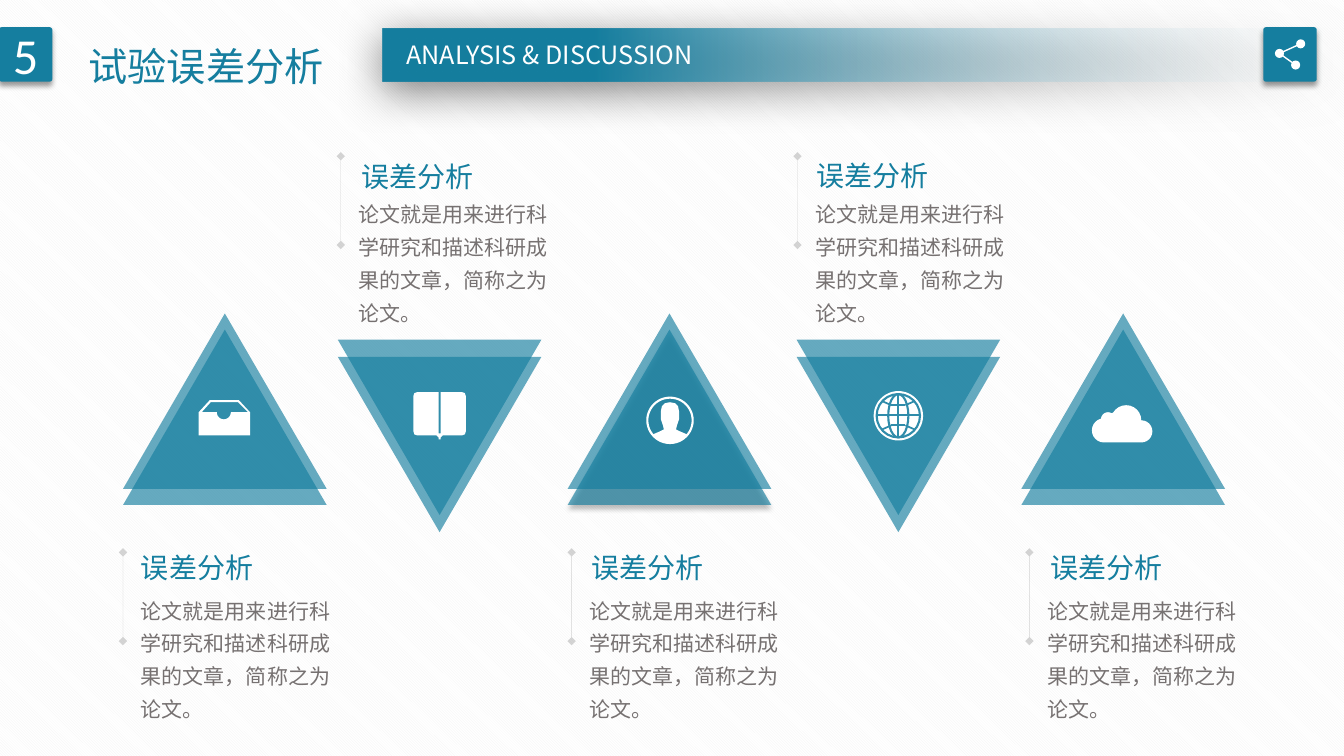
import math

import lxml.etree
import pptx
import pptx.dml.color
import pptx.enum.dml
import pptx.enum.shapes
import pptx.enum.text
import pptx.oxml.ns
import pptx.util

Inches = pptx.util.Inches
Pt = pptx.util.Pt
RGBColor = pptx.dml.color.RGBColor
qn = pptx.oxml.ns.qn
SHAPE = pptx.enum.shapes.MSO_SHAPE
ALIGN = pptx.enum.text.PP_ALIGN
ANCHOR = pptx.enum.text.MSO_ANCHOR

TEAL = RGBColor(0x15, 0x7E, 0x9F)
ICON_TEAL = RGBColor(0x30, 0x8C, 0xAA)
PALE = RGBColor(0xF7, 0xFA, 0xFD)
WHITE = RGBColor(0xFF, 0xFF, 0xFF)
STRIPE = RGBColor(0xF2, 0xF2, 0xF2)
RAIL_GRAY = RGBColor(0x80, 0x80, 0x80)
BODY_GRAY = RGBColor(0x76, 0x71, 0x71)
FONT = "Noto Sans CJK SC"
SOFT_SHADOW = (40, 4, 3, 90)  # opacity, blur, distance, direction
BODY = "论文就是用来进行科学研究和描述科研成果的文章，简称之为论文。"


def add_text(shape, text, size, color, font=FONT, spacing=1.0, align=ALIGN.LEFT,
             anchor=ANCHOR.TOP, wrap=False):
    frame = shape.text_frame
    frame.word_wrap = wrap
    frame.auto_size = pptx.enum.text.MSO_AUTO_SIZE.NONE
    frame.vertical_anchor = anchor
    paragraph = frame.paragraphs[0]
    paragraph.alignment = align
    paragraph.line_spacing = spacing
    run = paragraph.add_run()
    run.text = text
    run.font.size = Pt(size)
    run.font.name = font
    run.font.color.rgb = color
    lxml.etree.SubElement(run.font._element, qn("a:ea"), typeface=font)


def paint(shape, color, opacity=100, shadow=None):
    shape.fill.solid()
    shape.fill.fore_color.rgb = color
    shape.line.fill.background()
    shape.shadow.inherit = False
    properties = shape.element.spPr
    if opacity < 100:
        fill_color = properties.find(qn("a:solidFill"))[0]
        lxml.etree.SubElement(fill_color, qn("a:alpha"), val=str(opacity * 1000))
    if shadow:
        strength, blur, distance, direction = shadow
        outer = lxml.etree.SubElement(
            properties.find(qn("a:effectLst")), qn("a:outerShdw"), blurRad=str(Pt(blur)),
            dist=str(Pt(distance)), dir=str(direction * 60000), algn="t", rotWithShape="0")
        black = lxml.etree.SubElement(outer, qn("a:srgbClr"), val="000000")
        lxml.etree.SubElement(black, qn("a:alpha"), val=str(strength * 1000))


presentation = pptx.Presentation()
presentation.slide_width = Inches(13.33)
presentation.slide_height = Inches(7.5)
slide = presentation.slides.add_slide(presentation.slide_layouts[5])
shapes = slide.shapes

# Striped background
background = slide.background.fill
background.patterned()
background.pattern = pptx.enum.dml.MSO_PATTERN.DARK_DOWNWARD_DIAGONAL
background.fore_color.rgb = STRIPE
background.back_color.rgb = WHITE

# Title
title = shapes.title
title.left, title.top, title.width, title.height = map(Inches, (0.78, 0.14, 2.57, 0.73))
add_text(title, "试验误差分析", 28, TEAL, spacing=1.5)

# Header band fading out to the right
band = shapes.add_shape(SHAPE.RECTANGLE, Inches(3.8), Inches(0.28), Inches(9.53), Inches(0.53))
paint(band, TEAL, shadow=(50, 31, 6, 97))
band.fill.gradient()
band.fill.gradient_angle = 180
for stop, position, color in zip(band.fill.gradient_stops, (0, 0.78), (PALE, TEAL)):
    stop.position = position
    stop.color.rgb = color
clear_color = band.element.spPr.find(qn("a:gradFill")).find(".//" + qn("a:srgbClr"))
lxml.etree.SubElement(clear_color, qn("a:alpha"), val="0")
subtitle = shapes.add_textbox(Inches(3.8), Inches(0.34), Inches(3.3), Inches(0.4))
add_text(subtitle, "ANALYSIS & DISCUSSION", 18, WHITE, align=ALIGN.CENTER)

# Number badge and share badge
for left, label in ((-0.01, "5"), (12.53, "")):
    badge = shapes.add_shape(SHAPE.ROUNDED_RECTANGLE, Inches(left), Inches(0.27),
                             Inches(0.53), Inches(0.54))
    badge.adjustments[0] = 0.05
    paint(badge, TEAL, shadow=SOFT_SHADOW)
    if label:
        add_text(badge, label, 36, WHITE, font="Calibri", align=ALIGN.CENTER,
                 anchor=ANCHOR.MIDDLE, wrap=True)

# Columns: triangle left, rail x, rail top, heading left, heading top, points up, shadow
columns = [
    (1.22, 1.22, 5.48, 1.3, 5.31, True, None),
    (3.35, 3.38, 1.55, 3.49, 1.43, False, None),
    (5.63, 5.67, 5.48, 5.77, 5.31, True, SOFT_SHADOW),
    (7.9, 7.91, 1.55, 8.0, 1.42, False, None),
    (10.13, 10.21, 5.48, 10.32, 5.31, True, None),
]
for left, rail, rail_top, heading_left, heading_top, points_up, shadow in columns:
    tops = (3.27, 3.11) if points_up else (3.37, 3.54)
    for top, triangle_shadow in zip(tops, (shadow, None)):
        triangle = shapes.add_shape(SHAPE.ISOSCELES_TRIANGLE, Inches(left), Inches(top),
                                    Inches(2.02), Inches(1.74))
        paint(triangle, TEAL, opacity=65, shadow=triangle_shadow)
        if not points_up:
            triangle.element.spPr.get_or_add_xfrm().set("flipV", "1")
    body = shapes.add_textbox(Inches(rail + 0.08), Inches(rail_top + 0.33),
                              Inches(2.08), Inches(1.4))
    add_text(body, BODY, 15, BODY_GRAY, spacing=1.3, wrap=True)
    heading = shapes.add_textbox(Inches(heading_left), Inches(heading_top),
                                 Inches(1.32), Inches(0.5))
    add_text(heading, "误差分析", 20, TEAL, spacing=1.3)

# Icon outlines: tray, book, person, cloud
tray_slot = [(2.22 + 0.07 * math.cos(math.radians(angle)),
              4.09 + 0.07 * math.sin(math.radians(angle))) for angle in range(0, 181, 15)]
tray = [
    [(2.08, 3.97), (2.37, 3.97), (2.48, 4.09), (2.48, 4.32), (1.97, 4.32), (1.97, 4.09)],
    [(2.09, 3.99), (2.36, 3.99), (2.46, 4.09), *tray_slot, (2.0, 4.09)],
]
book_half = [(0.01, 4.3), (0.01, 3.89), (0.22, 3.89), (0.25, 3.9), (0.26, 3.93),
             (0.26, 4.28), (0.25, 4.31), (0.22, 4.32), (0.03, 4.32), (0.01, 4.34), (0.01, 4.36)]
person_half = [(0, 3.99), (0.05, 4.0), (0.08, 4.03), (0.09, 4.08), (0.09, 4.16), (0.07, 4.22),
               (0.06, 4.26), (0.1, 4.28), (0.17, 4.31), (0.1, 4.38), (0, 4.4)]
book, person = [
    [[(center + x, y) for x, y in half] + [(center - x, y) for x, y in reversed(half)]]
    for center, half in ((4.36, book_half), (6.645, person_half))]
cloud_lobes = [(10.95, 4.27, 0.12, 90, 255), (10.99, 4.16, 0.07, 180, 300),
               (11.17, 4.17, 0.15, 210, 360), (11.32, 4.28, 0.11, 270, 450)]
cloud = [[(x + radius * math.cos(math.radians(angle)), y + radius * math.sin(math.radians(angle)))
          for x, y, radius, start, end in cloud_lobes for angle in range(start, end + 1, 15)]]
for contours in (tray, book, person, cloud):
    builder = None
    for contour in contours:
        points = [(Inches(x), Inches(y)) for x, y in contour]
        if builder is None:
            builder = shapes.build_freeform(*points[0])
        else:
            builder.move_to(*points[0])
        builder.add_line_segments(points[1:], close=True)
    paint(builder.convert_to_shape(), WHITE)

# Icon ovals: center x, center y, width, height, fill, line colour
ovals = [
    (12.9, 0.435, 0.09, 0.09, WHITE, None),
    (12.69, 0.53, 0.09, 0.09, WHITE, None),
    (12.85, 0.645, 0.09, 0.09, WHITE, None),
    (6.645, 4.17, 0.45, 0.45, None, WHITE),
    (8.91, 4.125, 0.49, 0.49, WHITE, None),
    (8.91, 4.125, 0.43, 0.43, None, ICON_TEAL),
    (8.91, 4.125, 0.2, 0.43, None, ICON_TEAL),
]
for x, y, width, height, fill, outline in ovals:
    oval = shapes.add_shape(SHAPE.OVAL, Inches(x - width / 2), Inches(y - height / 2),
                            Inches(width), Inches(height))
    paint(oval, fill or WHITE)
    if outline:
        oval.fill.background()
        oval.line.color.rgb = outline
        oval.line.width = Pt(1.5)

# Lines: share links, globe grid, column rails
lines = [(12.69, 0.53, 12.9, 0.435, WHITE, 1), (12.69, 0.53, 12.85, 0.645, WHITE, 1),
         (8.7, 4.12, 9.12, 4.12, ICON_TEAL, 1.5), (8.91, 3.91, 8.91, 4.34, ICON_TEAL, 1.5)]
for side in (-1, 1):
    latitude = [(8.91 + x, 4.12 + side * y)
                for x, y in ((-0.16, 0.14), (-0.07, 0.1), (0.07, 0.1), (0.16, 0.14))]
    lines += [(*start, *end, ICON_TEAL, 1.25) for start, end in zip(latitude, latitude[1:])]
lines += [(rail, top, rail, top + 0.88, RAIL_GRAY, 0.25) for _, rail, top, *_ in columns]
for x1, y1, x2, y2, color, width in lines:
    connector = shapes.add_connector(pptx.enum.shapes.MSO_CONNECTOR.STRAIGHT,
                                     Inches(x1), Inches(y1), Inches(x2), Inches(y2))
    connector.line.color.rgb = color
    connector.line.width = Pt(width)
    if color == RAIL_GRAY:
        line = connector.line._get_or_add_ln()
        lxml.etree.SubElement(line.find(".//" + qn("a:srgbClr")), qn("a:alpha"), val="33000")
        for end in ("a:headEnd", "a:tailEnd"):
            lxml.etree.SubElement(line, qn(end), type="diamond")
    lxml.etree.SubElement(connector._element.spPr, qn("a:effectLst"))

presentation.save("out.pptx")
